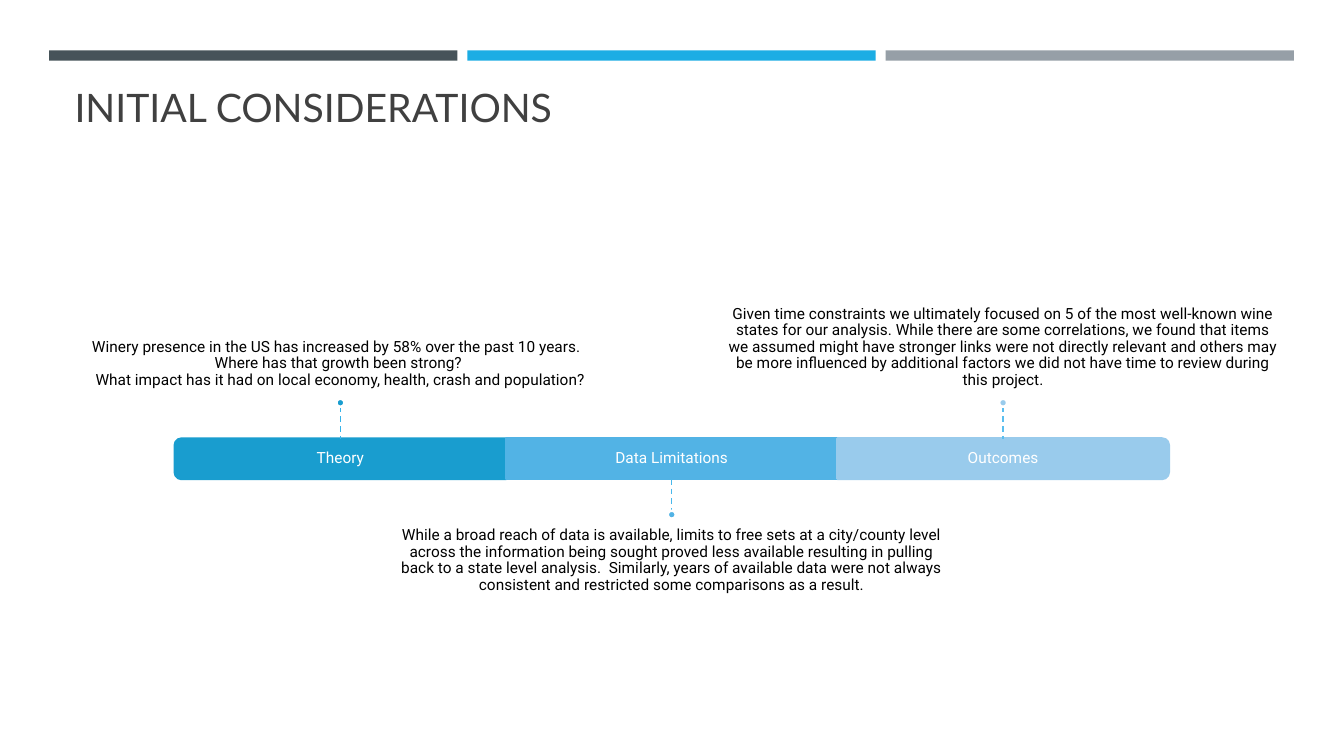
from dataclasses import dataclass

from lxml import etree
from pptx import Presentation
from pptx import util as u
from pptx.dml.color import RGBColor
from pptx.enum import dml, shapes, text
from pptx.oxml import ns

BAR_TOP, BAR_HEIGHT, STAGE_WIDTH = 11.05, 1.02, 8.35
FIRST_CENTER = 8.58
NOTE_WIDTH, NOTE_HEIGHT = 13.92, 3.53
DOT, STEM = 0.2, 0.8
INSET = 0.23


@dataclass
class Stage:
    label: str
    note: str
    color: str
    stem_color: str
    outline: shapes.MSO_SHAPE
    rotation: int = 0
    note_above: bool = True


STAGES = [
    Stage(
        "Theory",
        "Winery presence in the US has increased by 58% over the past 10 years.  \n"
        "Where has that growth been strong? \n"
        "What impact has it had on local economy, health, crash and population?",
        "199DCF", "36B3E9", shapes.MSO_SHAPE.ROUND_2_SAME_RECTANGLE, rotation=270,
    ),
    Stage(
        "Data Limitations",
        "While a broad reach of data is available, limits to free sets at a city/county "
        "level across the information being sought proved less available resulting in "
        "pulling back to a state level analysis.  Similarly, years of available data were "
        "not always consistent and restricted some comparisons as a result.",
        "52B3E5", "48B8EC", shapes.MSO_SHAPE.RECTANGLE, note_above=False,
    ),
    Stage(
        "Outcomes",
        "Given time constraints we ultimately focused on 5 of the most well-known wine "
        "states for our analysis. While there are some correlations, we found that items "
        "we assumed might have stronger links were not directly relevant and others may "
        "be more influenced by additional factors we did not have time to review during "
        "this project.",
        "99CBEC", "5ABEEF", shapes.MSO_SHAPE.ROUND_2_SAME_RECTANGLE, rotation=90,
    ),
]


def rgb(color: str) -> RGBColor:
    return RGBColor.from_string(color)


def add_block(slide, outline, left: float, top: float, width: float, height: float,
              fill: str, line: str | None = None):
    shape = slide.shapes.add_shape(outline, u.Cm(left), u.Cm(top), u.Cm(width), u.Cm(height))
    shape.shadow.inherit = False
    shape.fill.solid()
    shape.fill.fore_color.rgb = rgb(fill)
    if line:
        shape.line.color.rgb = rgb(line)
        shape.line.width = u.Pt(1.75)
    else:
        shape.line.fill.background()
    return shape


def add_text(slide, content: str, left: float, top: float, width: float, height: float,
             color: str, anchor=text.MSO_ANCHOR.TOP, insets=(0, 0, 0, 0),
             font: str = "Roboto", size: float = 11,
             align=text.PP_ALIGN.CENTER, spacing: float = 0.9) -> None:
    """Insets run left, top, right, bottom; newlines become line breaks."""
    box = slide.shapes.add_textbox(u.Cm(left), u.Cm(top), u.Cm(width), u.Cm(height))
    frame = box.text_frame
    frame.word_wrap = True
    frame.vertical_anchor = anchor
    (frame.margin_left, frame.margin_top,
     frame.margin_right, frame.margin_bottom) = map(u.Cm, insets)
    paragraph = frame.paragraphs[0]
    paragraph.text = content
    paragraph.alignment = align
    paragraph.line_spacing = spacing
    paragraph.font.name = font
    paragraph.font.size = u.Pt(size)
    paragraph.font.color.rgb = rgb(color)


def add_stem(slide, center: float, start: float, end: float, color: str) -> None:
    connector = slide.shapes.add_connector(
        shapes.MSO_CONNECTOR.STRAIGHT, u.Cm(center), u.Cm(start), u.Cm(center), u.Cm(end))
    connector.line.color.rgb = rgb(color)
    connector.line.width = u.Pt(1)
    connector.line.dash_style = dml.MSO_LINE.DASH
    etree.SubElement(connector._element.spPr, ns.qn("a:effectLst"))


def add_stage(slide, stage: Stage, center: float) -> None:
    left = center - STAGE_WIDTH / 2
    bar_bottom = BAR_TOP + BAR_HEIGHT
    if stage.rotation:
        middle = BAR_TOP + BAR_HEIGHT / 2
        bar = add_block(slide, stage.outline, center - BAR_HEIGHT / 2,
                        middle - STAGE_WIDTH / 2, BAR_HEIGHT, STAGE_WIDTH,
                        stage.color, stage.color)
        bar.rotation = stage.rotation
    else:
        add_block(slide, stage.outline, left, BAR_TOP, STAGE_WIDTH, BAR_HEIGHT,
                  stage.color, stage.color)
    add_text(slide, stage.label, left, BAR_TOP, STAGE_WIDTH, BAR_HEIGHT, "FFFFFF",
             text.MSO_ANCHOR.MIDDLE, (INSET,) * 4)

    if stage.note_above:
        stem_start, stem_end = BAR_TOP - STEM, BAR_TOP
        dot_top, note_top = stem_start - DOT, 6.5
        anchor, insets = text.MSO_ANCHOR.BOTTOM, (0, 0, 0, INSET)
    else:
        stem_start, stem_end = bar_bottom, bar_bottom + STEM
        dot_top, note_top = stem_end, 13.06
        anchor, insets = text.MSO_ANCHOR.TOP, (0, INSET, 0, 0)
    add_text(slide, stage.note, center - NOTE_WIDTH / 2, note_top, NOTE_WIDTH, NOTE_HEIGHT,
             "000000", anchor, insets)
    add_stem(slide, center, stem_start, stem_end, stage.stem_color)
    add_block(slide, shapes.MSO_SHAPE.OVAL, center - DOT / 2, dot_top, DOT, DOT,
              stage.color, "FFFFFF")


def main() -> None:
    presentation = Presentation()
    presentation.slide_width, presentation.slide_height = u.Cm(33.87), u.Cm(19.05)
    slide = presentation.slides.add_slide(presentation.slide_layouts[6])

    for index, color in enumerate(("465359", "1CADE4", "969FA7")):
        add_block(slide, shapes.MSO_SHAPE.RECTANGLE, 1.24 + index * 10.54, 1.27,
                  10.29, 0.26, color)
    add_text(slide, "INITIAL CONSIDERATIONS", 1.63, 1.96, 30.63, 3.3, "404040",
             insets=(0.25, 0.13, 0.25, 0.13), font="Lato", size=28,
             align=text.PP_ALIGN.LEFT, spacing=1.0)
    for index, stage in enumerate(STAGES):
        add_stage(slide, stage, FIRST_CENTER + index * STAGE_WIDTH)

    presentation.save("out.pptx")


if __name__ == "__main__":
    main()
